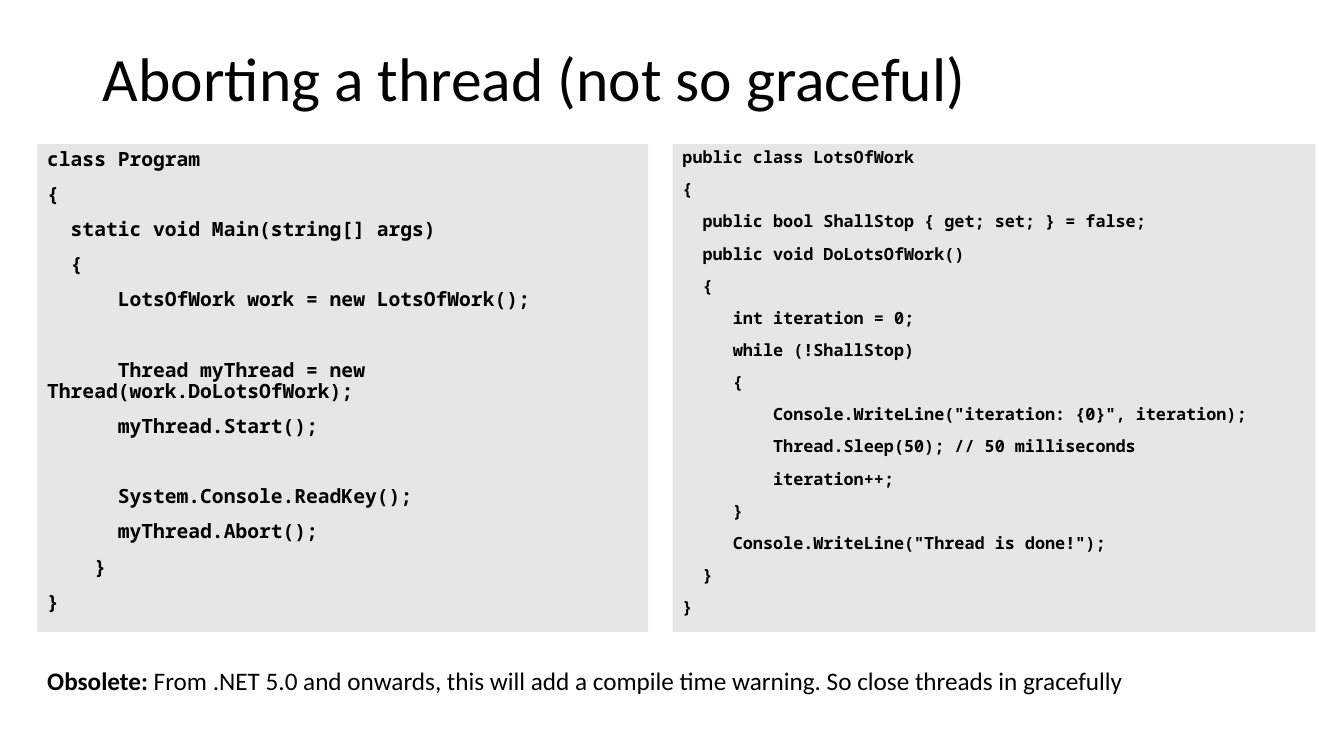
from pptx import Presentation
from pptx.dml.color import RGBColor
from pptx.enum.shapes import MSO_SHAPE
from pptx.enum.text import MSO_ANCHOR, MSO_AUTO_SIZE, PP_ALIGN
from pptx.util import Inches, Pt

# Content
TITLE = "Aborting a thread (not so graceful)"
PROGRAM = """\
class Program
{
  static void Main(string[] args)
  {
      LotsOfWork work = new LotsOfWork();

      Thread myThread = new Thread(work.DoLotsOfWork);
      myThread.Start();

      System.Console.ReadKey();
      myThread.Abort();
    }
}"""
WORKER = """\
public class LotsOfWork
{
  public bool ShallStop { get; set; } = false;
  public void DoLotsOfWork()
  {
     int iteration = 0;
     while (!ShallStop)
     {
         Console.WriteLine("iteration: {0}", iteration);
         Thread.Sleep(50); // 50 milliseconds
         iteration++;
     }
     Console.WriteLine("Thread is done!");
  }
}"""
NOTE = [
    ("Obsolete:", True),
    (" From .NET 5.0 and onwards, this will add a compile time warning."
     " So close threads in gracefully", False),
]

# Panels: left, width, font size, code
PANELS = [(0.37, 6.06, 14, PROGRAM), (6.67, 6.38, 12, WORKER)]
PANEL_TOP, PANEL_HEIGHT = 1.43, 4.84
LINE_GAP, BLOCK_GAP = 10, 35  # points before a line, before a new block

COLORS = {"text": "000000", "panel": "E7E6E6"}
TITLE_FONT = {"name": "Calibri", "size": Pt(44), "bold": False}
NOTE_FONT = {"name": "Calibri", "size": Pt(18)}
CODE_FONT = {"name": "Noto Sans Mono", "bold": True}


def add_run(p, text, **formats):
    r = p.add_run()
    r.text = text
    for key, value in formats.items():
        setattr(r.font, key, value)
    r.font.color.rgb = RGBColor.from_string(COLORS["text"])


def set_frame(tf, anchor):
    formats = {"word_wrap": True, "auto_size": MSO_AUTO_SIZE.NONE,
               "vertical_anchor": anchor}
    for key, value in formats.items():
        setattr(tf, key, value)


def add_code(s, left, width, size, code):
    sp = s.shapes.add_shape(MSO_SHAPE.RECTANGLE, Inches(left), Inches(PANEL_TOP),
                            Inches(width), Inches(PANEL_HEIGHT))
    sp.shadow.inherit = False
    sp.fill.solid()
    sp.fill.fore_color.rgb = RGBColor.from_string(COLORS["panel"])
    sp.line.fill.background()
    tf = sp.text_frame
    set_frame(tf, MSO_ANCHOR.TOP)
    # An empty line in the code becomes wider spacing before the next line
    gap = 0
    for i, line in enumerate(code.splitlines()):
        if not line:
            gap = BLOCK_GAP
            continue
        p = tf.add_paragraph() if i else tf.paragraphs[0]
        p.alignment = PP_ALIGN.LEFT
        p.line_spacing = 0.9
        p.space_before = Pt(gap)
        add_run(p, line, size=Pt(size), **CODE_FONT)
        gap = LINE_GAP


def main():
    prs = Presentation()
    prs.slide_width, prs.slide_height = Inches(13.33), Inches(7.5)
    s = prs.slides.add_slide(prs.slide_layouts[5])

    # Title
    title = s.shapes.title
    title.left, title.top = Inches(0.92), Inches(0.4)
    title.width, title.height = Inches(11.5), Inches(0.81)
    set_frame(title.text_frame, MSO_ANCHOR.MIDDLE)
    p = title.text_frame.paragraphs[0]
    p.alignment = PP_ALIGN.LEFT
    p.line_spacing = 0.9
    add_run(p, TITLE, **TITLE_FONT)

    # Code panels
    for panel in PANELS:
        add_code(s, *panel)

    # Note below the panels
    note = s.shapes.add_textbox(Inches(0.37), Inches(6.39), Inches(12.31), Inches(0.73))
    set_frame(note.text_frame, MSO_ANCHOR.MIDDLE)
    for text, bold in NOTE:
        add_run(note.text_frame.paragraphs[0], text, bold=bold, **NOTE_FONT)

    prs.save("out.pptx")


if __name__ == "__main__":
    main()
